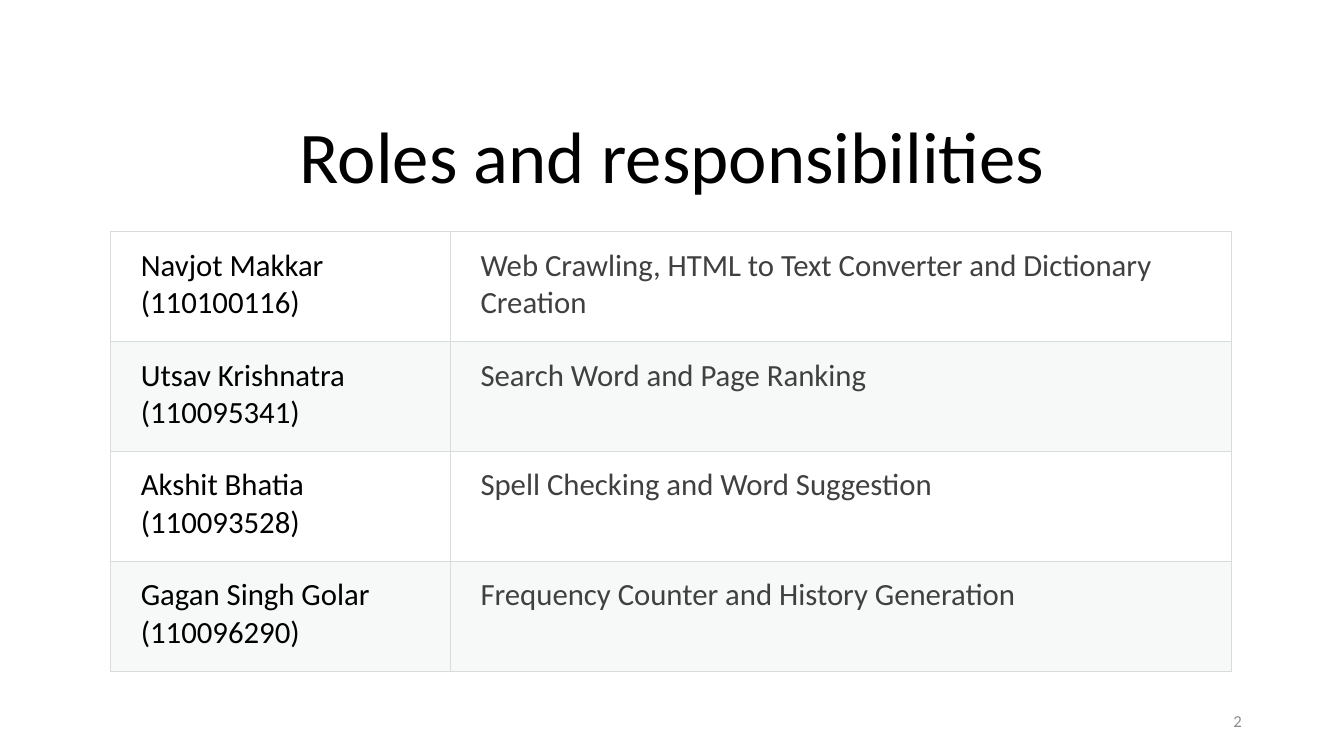
from lxml import etree
from pptx import Presentation
from pptx.dml.color import RGBColor
from pptx.enum.text import MSO_ANCHOR, MSO_AUTO_SIZE, PP_ALIGN
from pptx.oxml.ns import qn
from pptx.util import Cm, Pt

TITLE = "Roles and responsibilities"
PAGE_NUMBER = "2"
ROLES = [
    (["Navjot Makkar", "(110100116)"],
     ["Web Crawling, HTML to Text Converter and Dictionary Creation"]),
    (["Utsav Krishnatra", "(110095341)"], ["Search Word and Page Ranking"]),
    (["Akshit Bhatia", "(110093528)"], ["Spell Checking and Word Suggestion"]),
    (["Gagan Singh Golar", "(110096290)"],
     ["Frequency Counter and History Generation"]),
]

FONT = "Calibri"
BLACK = RGBColor(0x00, 0x00, 0x00)
DARK_GRAY = RGBColor(0x40, 0x40, 0x40)
NUMBER_GRAY = RGBColor(0x8C, 0x8C, 0x8C)
BORDER_GRAY = RGBColor(0xD8, 0xDC, 0xDC)
BAND_GRAY = RGBColor(0xD8, 0xDE, 0xDC)
WHITE = RGBColor(0xFF, 0xFF, 0xFF)
BAND_ALPHA = 20
CENTER, RIGHT = PP_ALIGN.CENTER, PP_ALIGN.RIGHT
BOTTOM, MIDDLE = MSO_ANCHOR.BOTTOM, MSO_ANCHOR.MIDDLE
NO_AUTOFIT = MSO_AUTO_SIZE.NONE

TITLE_ONLY = 5
TABLE_LEFT, TABLE_TOP = Cm(2.79), Cm(5.84)
COLUMN_WIDTHS = [Cm(8.56), Cm(19.68)]
COLUMN_COLORS = [BLACK, DARK_GRAY]
ROW_HEIGHT = Cm(2.77)


def write(frame, lines, size, color, align=None):
    frame.text = "\n".join(lines)
    frame.word_wrap = True
    for para in frame.paragraphs:
        para.alignment = align
        para.font.name = FONT
        para.font.size = Pt(size)
        para.font.color.rgb = color


def add_borders(cell):
    properties = cell._tc.get_or_add_tcPr()
    for side in ("lnL", "lnR", "lnT", "lnB"):
        line = etree.SubElement(properties, qn(f"a:{side}"), w=str(Pt(0.75)))
        fill = etree.SubElement(line, qn("a:solidFill"))
        etree.SubElement(fill, qn("a:srgbClr"), val=str(BORDER_GRAY))


def fill_cell(cell, banded):
    cell.fill.solid()
    cell.fill.fore_color.rgb = BAND_GRAY if banded else WHITE
    if banded:
        color = cell._tc.tcPr.find(f"{qn('a:solidFill')}/{qn('a:srgbClr')}")
        etree.SubElement(color, qn("a:alpha"), val=str(BAND_ALPHA * 1000))


def add_title(page):
    title = page.shapes.title
    title.left, title.top = Cm(2.33), Cm(1.55)
    title.width, title.height = Cm(29.21), Cm(3.6)
    frame = title.text_frame
    write(frame, [TITLE], 52, BLACK, CENTER)
    frame.auto_size = NO_AUTOFIT
    frame.vertical_anchor = BOTTOM
    frame.paragraphs[0].line_spacing = 0.9


def add_roles(page):
    table = page.shapes.add_table(
        len(ROLES), len(COLUMN_WIDTHS), TABLE_LEFT, TABLE_TOP,
        sum(COLUMN_WIDTHS), ROW_HEIGHT * len(ROLES)).table
    table.first_row = table.horz_banding = False
    for column, width in zip(table.columns, COLUMN_WIDTHS):
        column.width = width
    for row_index, role in enumerate(ROLES):
        table.rows[row_index].height = ROW_HEIGHT
        for column_index, lines in enumerate(role):
            cell = table.cell(row_index, column_index)
            cell.margin_left, cell.margin_right = Cm(0.76), Cm(0.61)
            cell.margin_top = cell.margin_bottom = Cm(0.38)
            write(cell.text_frame, lines, 22, COLUMN_COLORS[column_index])
            add_borders(cell)
            fill_cell(cell, row_index % 2 == 1)


def add_page_number(page):
    box = page.shapes.add_textbox(Cm(23.93), Cm(17.65), Cm(7.62), Cm(1.02))
    write(box.text_frame, [PAGE_NUMBER], 12, NUMBER_GRAY, RIGHT)
    box.text_frame.vertical_anchor = MIDDLE


def main():
    deck = Presentation()
    deck.slide_width, deck.slide_height = Cm(33.87), Cm(19.05)
    page = deck.slides.add_slide(deck.slide_layouts[TITLE_ONLY])
    add_title(page)
    add_roles(page)
    add_page_number(page)
    deck.save("out.pptx")


if __name__ == "__main__":
    main()
